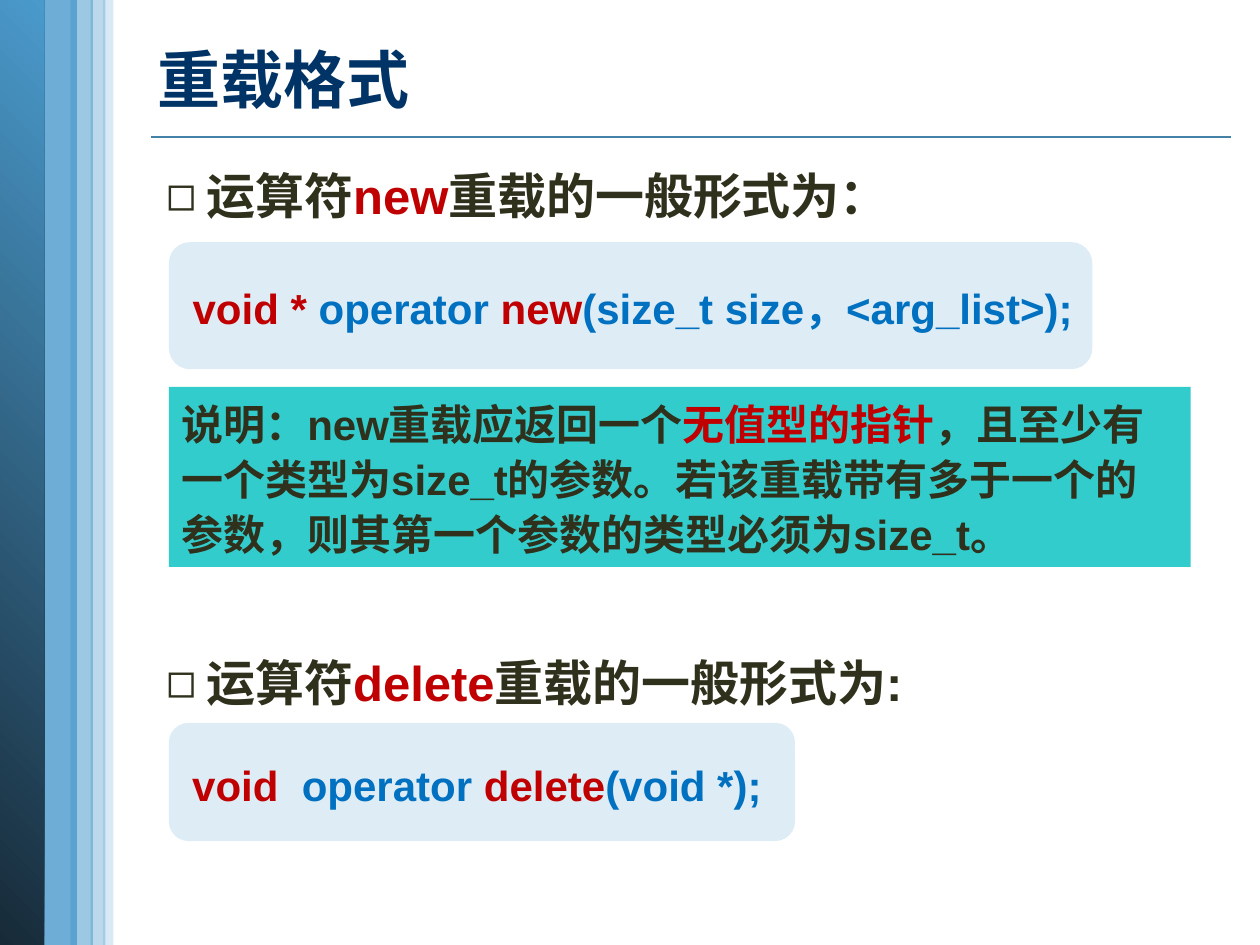
from lxml import etree
from pptx import Presentation
from pptx import util as u
from pptx.dml.color import RGBColor
from pptx.enum import shapes, text
from pptx.oxml import ns

NAVY = RGBColor(0x00, 0x33, 0x66)
INK = RGBColor(0x30, 0x31, 0x1D)
RED = RGBColor(0xC0, 0x00, 0x00)
BLUE = RGBColor(0x00, 0x70, 0xC0)
SKY = RGBColor(0x4A, 0x9A, 0xCC)
DEEP = RGBColor(0x17, 0x2A, 0x38)
PALE = RGBColor(0x92, 0xC2, 0xE0)
TEAL = RGBColor(0x33, 0xCC, 0xCC)
RULE = RGBColor(0x45, 0x82, 0xA7)
LATIN, CJK = "Arial", "Noto Sans CJK SC"
WIDTH, HEIGHT = u.Inches(10), u.Inches(7.5)


def place(x, y, w, h):
    return [int(share * side / 100) for share, side in
            zip((x, y, w, h), (WIDTH, HEIGHT, WIDTH, HEIGHT))]


def add_block(s, kind, box, color, alpha=100):
    sp = s.shapes.add_shape(kind, *place(*box))
    sp.shadow.inherit = False
    sp.line.fill.background()
    sp.fill.solid()
    sp.fill.fore_color.rgb = color
    if alpha < 100:
        clr = sp.fill._xPr.find(ns.qn("a:solidFill"))[0]
        etree.SubElement(clr, ns.qn("a:alpha"), val=str(alpha * 1000))
    return sp


def write(sp, runs, size, font=LATIN, spacing=1.1, bullet=None,
          anchor=text.MSO_ANCHOR.TOP):
    tf = sp.text_frame
    tf.word_wrap = True
    tf.vertical_anchor = anchor
    p = tf.paragraphs[0]
    p.alignment = text.PP_ALIGN.LEFT
    p.line_spacing = spacing
    if bullet:
        pPr = p._p.get_or_add_pPr()
        indent = u.Inches(0.32)
        pPr.set("marL", str(indent))
        pPr.set("indent", str(-indent))
        etree.SubElement(pPr, ns.qn("a:buFont"), typeface=LATIN)
        etree.SubElement(pPr, ns.qn("a:buChar"), char=bullet)
    for words, color in runs:
        r = p.add_run()
        r.text = words
        r.font.size = u.Pt(size)
        r.font.bold = True
        r.font.name = font
        r.font.color.rgb = color
        etree.SubElement(r._r.get_or_add_rPr(), ns.qn("a:ea"), typeface=CJK)
    return tf


def add_sidebar(s, box):
    x, y, w, h = box
    rect = shapes.MSO_SHAPE.RECTANGLE
    stripes = [(0.33, 0.35, 80), (0.91, 0.09, 20), (0.62, 0.20, 54), (0.80, 0.13, 37)]
    for left, width, alpha in stripes:
        add_block(s, rect, (x + left * w, y, width * w, h), SKY, alpha)
    sp = add_block(s, rect, (x, y, 0.39 * w, h), SKY)
    sp.fill.gradient()
    sp.fill.gradient_angle = 45
    for stop, color in zip(sp.fill.gradient_stops, (DEEP, SKY)):
        stop.color.rgb = color


def add_header(s, box, title):
    x, y, w, h = box
    sp = s.shapes.add_textbox(*place(x, y, w, h))
    write(sp, [(title, NAVY)], 36, font=CJK, spacing=1.0,
          anchor=text.MSO_ANCHOR.MIDDLE)
    left, top, width, _ = place(x + 0.5, 14.53, 85.7, 0)
    line = s.shapes.add_connector(shapes.MSO_CONNECTOR.STRAIGHT,
                                  left, top, left + width, top)
    line.line.color.rgb = RULE
    line.line.width = u.Pt(1)
    etree.SubElement(line._element.spPr, ns.qn("a:effectLst"))


def add_syntax(s, box, heading, code):
    x, y, w, h = box
    sp = s.shapes.add_textbox(*place(x - 1.2, y, 80.9, 8.27))
    write(sp, heading, 28, bullet="◻")
    card = add_block(s, shapes.MSO_SHAPE.ROUNDED_RECTANGLE,
                     (x, y + 0.41 * h, w, 0.59 * h), PALE, 30)
    tf = write(card, code, 24, anchor=text.MSO_ANCHOR.MIDDLE)
    tf.margin_left, tf.margin_right = u.Inches(0.14), 0


def add_note(s, box, runs):
    write(add_block(s, shapes.MSO_SHAPE.RECTANGLE, box, TEAL), runs, 24)


def main():
    prs = Presentation()
    prs.slide_width, prs.slide_height = WIDTH, HEIGHT
    s = prs.slides.add_slide(prs.slide_layouts[6])
    add_sidebar(s, (0, 0, 9, 100))
    add_header(s, (11.5, 0.93, 88.5, 14.8), "重载格式")
    add_syntax(s, (13.4, 16.27, 73.3, 22.8),
               [("运算符", INK), ("new", RED), ("重载的一般形式为：", INK)],
               [("void *", RED), (" operator ", BLUE), ("new", RED),
                ("(size_t size，<arg_list>);", BLUE)])
    add_note(s, (13.4, 40.93, 81.1, 19.07),
             [("说明：new重载应返回一个", INK), ("无值型的指针", RED),
              ("，且至少有一个类型为size_t的参数。若该重载带有多于一个的参数，"
               "则其第一个参数的类型必须为size_t。", INK)])
    add_syntax(s, (13.4, 67.8, 49.7, 21.2),
               [("运算符", INK), ("delete", RED), ("重载的一般形式为:", INK)],
               [("void", RED), ("  operator ", BLUE), ("delete", RED),
                ("(void *);", BLUE)])
    prs.save("out.pptx")


if __name__ == "__main__":
    main()
